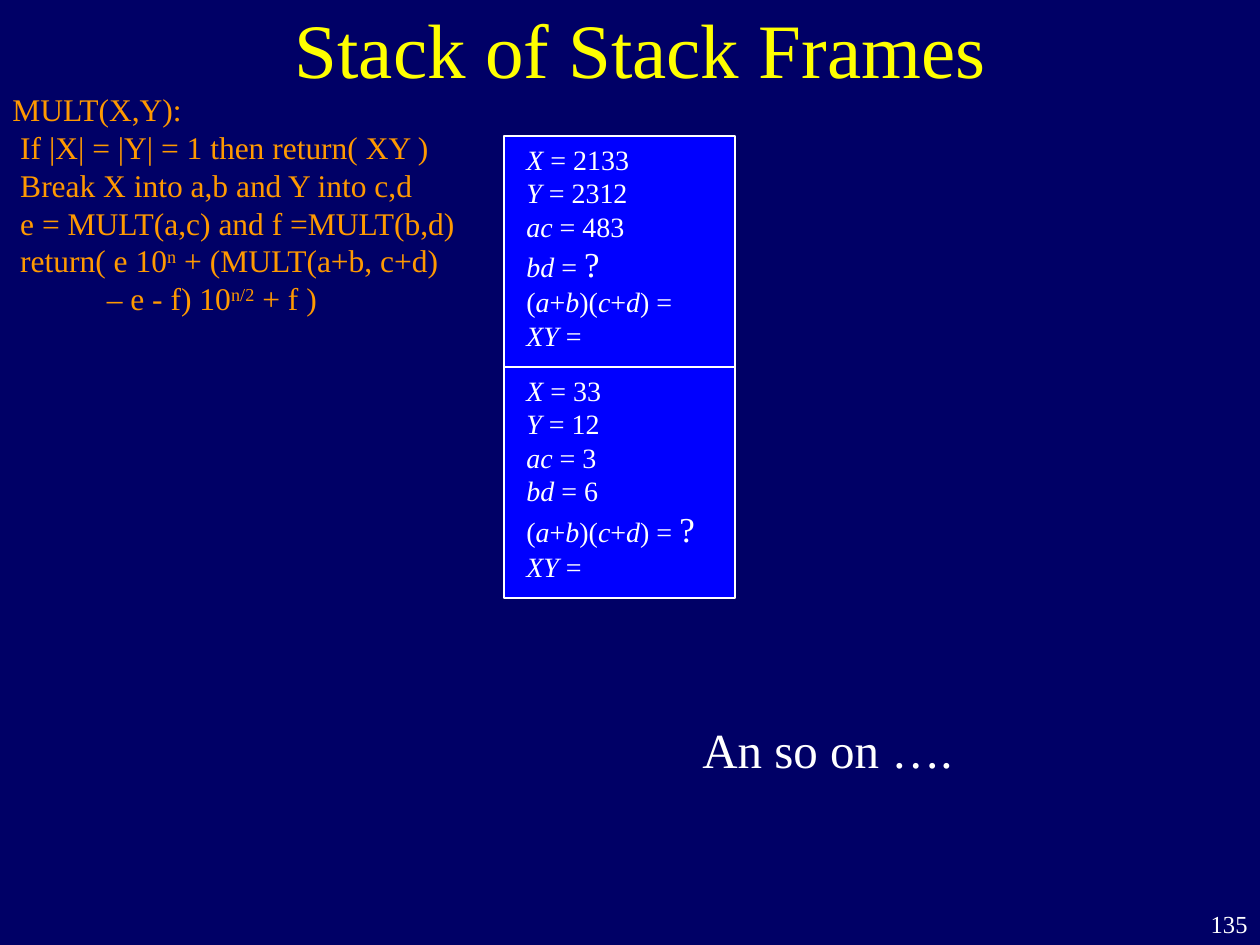
from itertools import groupby

from pptx import Presentation
from pptx import util as u
from pptx.dml.color import RGBColor
from pptx.enum import shapes, text

# Content
TITLE = "Stack of Stack Frames"
PAGE = "135"
CLOSING = "An so on …."
FRAMES = [
    ["X = 2133", "Y = 2312", "ac = 483", "bd = ?", "(a+b)(c+d) =", "XY ="],
    ["X = 33", "Y = 12", "ac = 3", "bd = 6", "(a+b)(c+d) = ?", "XY ="],
]
# Text between carets is superscript; a newline is a line break
CODE = [
    "MULT(X,Y):",
    " If |X| = |Y| = 1 then return( XY )",
    " Break X into a,b and Y into c,d",
    " e = MULT(a,c) and f =MULT(b,d)",
    " return( e 10^n^ + (MULT(a+b, c+d) \n            – e - f) 10^n/2^ + f )",
]
FONT = "Times New Roman"
NAVY, BLUE, WHITE, YELLOW, ORANGE = "000066", "0000FF", "FFFFFF", "FFFF00", "FF9900"

# Layout in px
SCALE = u.Inches(1) / 126
FRAME_LEFT, FRAME_TOP, FRAME_SIZE = 504, 136, 231


def px(*values):
    return [u.Emu(round(v * SCALE)) for v in values]


def rgb(value):
    return RGBColor.from_string(value)


def add_run(p, words, size, color, italic=False, raised=False):
    r = p.add_run()
    r.text = words
    r.font.name, r.font.size, r.font.italic = FONT, u.Pt(size), italic
    r.font.color.rgb = rgb(color)
    if raised:
        r.font._element.set("baseline", "30000")


def add_box(slide, box, wrap=False):
    tf = slide.shapes.add_textbox(*px(*box)).text_frame
    tf.word_wrap = wrap
    return tf


def paragraphs(tf, lines):
    for i, line in enumerate(lines):
        yield (tf.add_paragraph() if i else tf.paragraphs[0]), line


def add_frame(slide, top, lines):
    sp = slide.shapes.add_shape(shapes.MSO_SHAPE.RECTANGLE,
                                *px(FRAME_LEFT, top, FRAME_SIZE, FRAME_SIZE))
    sp.shadow.inherit = False
    sp.fill.solid()
    sp.fill.fore_color.rgb = rgb(BLUE)
    sp.line.color.rgb = rgb(WHITE)
    sp.line.width = u.Pt(0.75)
    # Variables are italic, the pending value is larger
    tf = add_box(slide, (FRAME_LEFT + 10, top, 194, 223))
    for p, line in paragraphs(tf, lines):
        for (is_name, pending), chars in groupby(line, lambda c: (c.isalpha(), c == "?")):
            add_run(p, "".join(chars), 20 if pending else 16, WHITE, italic=is_name)


def add_code(slide):
    tf = add_box(slide, (0, 84, 536, 242), wrap=True)
    for p, line in paragraphs(tf, CODE):
        for i, part in enumerate(line.split("^")):
            for j, piece in enumerate(part.split("\n")):
                if j:
                    p.add_line_break()
                add_run(p, piece, 18, ORANGE, raised=i % 2 == 1)


def main():
    prs = Presentation()
    prs.slide_width, prs.slide_height = px(1260, 945)
    slide = prs.slides.add_slide(prs.slide_layouts[5])
    slide.background.fill.solid()
    slide.background.fill.fore_color.rgb = rgb(NAVY)

    # Title
    title = slide.shapes.title
    title.left, title.top, title.width, title.height = px(105, -31, 1071, 157)
    title.text_frame.vertical_anchor = text.MSO_ANCHOR.MIDDLE
    p = title.text_frame.paragraphs[0]
    p.alignment = text.PP_ALIGN.CENTER
    add_run(p, TITLE, 44, YELLOW)

    # Stack frames, code, closing words
    for i, lines in enumerate(FRAMES):
        add_frame(slide, FRAME_TOP + i * FRAME_SIZE, lines)
    add_code(slide)
    add_run(add_box(slide, (690, 713, 276, 72)).paragraphs[0], CLOSING, 28, WHITE)

    # Page number
    p = add_box(slide, (1197, 903, 63, 42), wrap=True).paragraphs[0]
    p.alignment = text.PP_ALIGN.RIGHT
    add_run(p, PAGE, 14, WHITE)

    prs.save("out.pptx")


if __name__ == "__main__":
    main()
